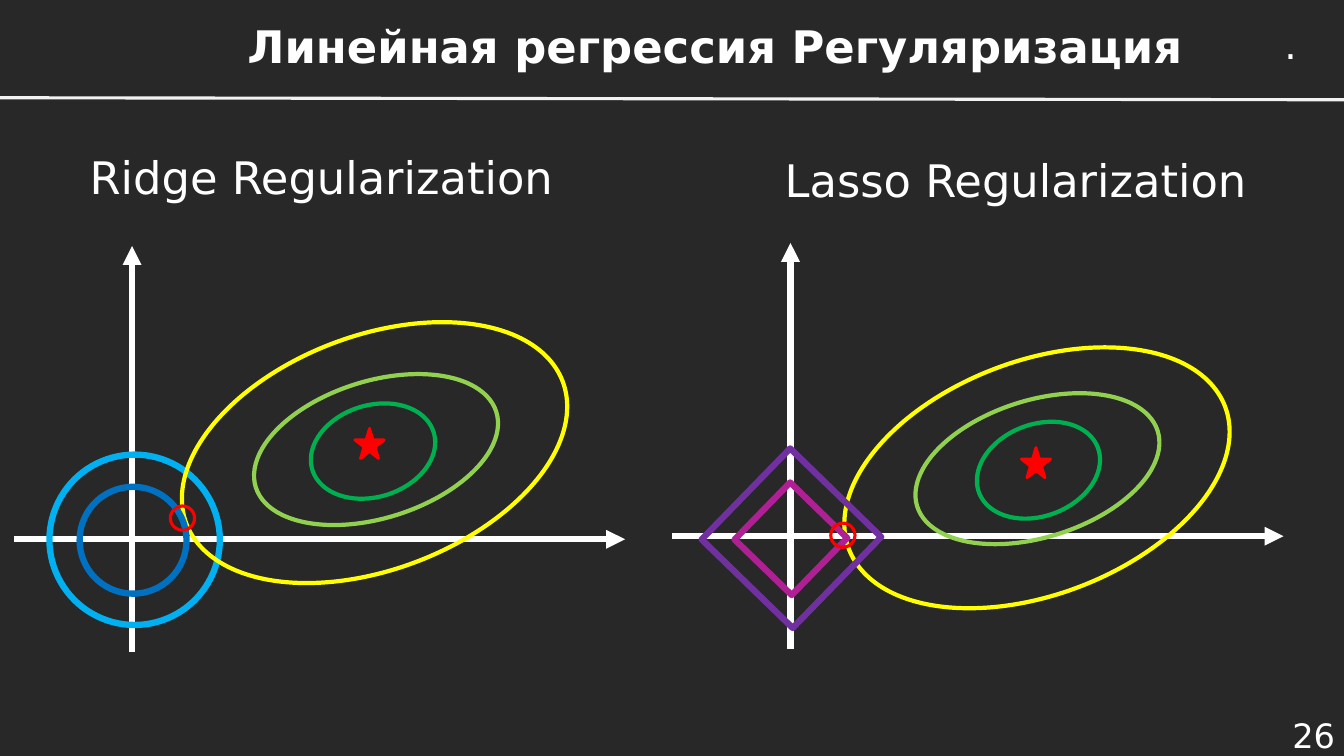
from dataclasses import dataclass

from lxml import etree
from pptx import Presentation
from pptx.dml.color import RGBColor
from pptx.enum.shapes import MSO_CONNECTOR, MSO_SHAPE
from pptx.enum.text import MSO_ANCHOR, MSO_AUTO_SIZE, PP_ALIGN
from pptx.oxml.ns import qn
from pptx.util import Inches, Pt

OVAL, RECT, STAR = MSO_SHAPE.OVAL, MSO_SHAPE.RECTANGLE, MSO_SHAPE.STAR_5_POINT
STRAIGHT = MSO_CONNECTOR.STRAIGHT
LEFT, CENTER, RIGHT = PP_ALIGN.LEFT, PP_ALIGN.CENTER, PP_ALIGN.RIGHT
MIDDLE, NO_FIT = MSO_ANCHOR.MIDDLE, MSO_AUTO_SIZE.NONE


@dataclass(frozen=True)
class Theme:
    font: str = "DejaVu Sans"
    heading: int = 32
    dot: int = 28
    number: int = 24
    background: str = "272827"
    text: str = "FFFFFF"
    rule: str = "F2F2F2"
    yellow: str = "FFFF00"
    lime: str = "92D050"
    green: str = "00B050"
    red: str = "FF0000"
    sky: str = "00B0F0"
    blue: str = "0070C0"
    purple: str = "7030A0"
    magenta: str = "B02095"


theme = Theme()

prs = Presentation()
prs.slide_width, prs.slide_height = Inches(13.33), Inches(7.5)
slide = prs.slides.add_slide(prs.slide_layouts[5])
slide.background.fill.solid()
slide.background.fill.fore_color.rgb = RGBColor.from_string(theme.background)


def add_line(x1, y1, x2, y2, color, width):
    line = slide.shapes.add_connector(
        STRAIGHT, Inches(x1), Inches(y1), Inches(x2), Inches(y2))
    line.line.color.rgb = RGBColor.from_string(color)
    line.line.width = Pt(width)
    etree.SubElement(line._element.spPr, qn("a:effectLst"))
    return line


# Title, panel headings, corner dot and slide number
title = slide.shapes.title
texts = [
    (title, "Линейная регрессия Регуляризация", 1.78, 0.19, 10.63, 0.53, theme.heading, CENTER),
    (None, "Ridge Regularization", 0.75, 1.3, 4.88, 0.91, theme.heading, CENTER),
    (None, "Lasso Regularization", 7.4, 1.33, 5.35, 0.91, theme.heading, CENTER),
    (None, ".", 12.64, 0.15, 0.34, 0.57, theme.dot, LEFT),
    (None, "26", 12.29, 7.08, 1.05, 0.42, theme.number, RIGHT),
]
for sp, text, x, y, w, h, size, align in texts:
    sp = sp or slide.shapes.add_textbox(0, 0, 0, 0)
    sp.left, sp.top, sp.width, sp.height = Inches(x), Inches(y), Inches(w), Inches(h)
    tf = sp.text_frame
    tf.text = text
    tf.word_wrap = True
    tf.auto_size = NO_FIT
    tf.vertical_anchor = MIDDLE
    p = tf.paragraphs[0]
    p.alignment = align
    font = p.runs[0].font
    font.name, font.size, font.bold = theme.font, Pt(size), sp is title
    font.color.rgb = RGBColor.from_string(theme.text)

# Rule under the title
add_line(0, 0.97, 13.33, 0.99, theme.rule, 2.25)

# Axes: each pair is set by its crossing point
for x, y in [(1.31, 5.35), (7.84, 5.32)]:
    for ends in [(x, y + 1.12, x, y - 2.91), (x - 1.17, y, x + 4.89, y)]:
        axis = add_line(*ends, theme.text, 4.5)
        etree.SubElement(axis.line._get_or_add_ln(), qn("a:tailEnd"), type="triangle")

# Constraint regions, loss contours, optimum and touching point, back to front
# kind, left, top, width, height, rotation, colour, line width
figures = [
    # Lasso
    (OVAL, 8.29, 3.58, 3.99, 2.32, 339.3, theme.yellow, 3),
    (OVAL, 9.04, 3.97, 2.5, 1.36, 342.6, theme.lime, 3),
    (OVAL, 9.67, 4.21, 1.26, 0.91, 339.2, theme.green, 3),
    (STAR, 10.13, 4.44, 0.29, 0.3, 0, theme.red, 2),
    (RECT, 7.22, 4.71, 1.26, 1.26, 44.2, theme.purple, 4.5),
    (RECT, 7.45, 4.95, 0.79, 0.79, 44.2, theme.magenta, 4.5),
    (OVAL, 8.24, 5.19, 0.24, 0.24, 0, theme.red, 2.25),
    # Ridge
    (OVAL, 0.49, 4.51, 1.69, 1.69, 0, theme.sky, 4.5),
    (OVAL, 1.72, 3.33, 3.99, 2.32, 339.3, theme.yellow, 3),
    (OVAL, 2.48, 3.78, 2.5, 1.36, 342.6, theme.lime, 3),
    (OVAL, 3.07, 4.02, 1.26, 0.91, 342.8, theme.green, 3),
    (STAR, 3.52, 4.25, 0.29, 0.3, 0, theme.red, 2),
    (OVAL, 0.79, 4.83, 1.06, 1.06, 0, theme.blue, 4.5),
    (OVAL, 1.69, 5.02, 0.24, 0.24, 0, theme.red, 2.25),
]
for kind, x, y, w, h, rotation, color, width in figures:
    sp = slide.shapes.add_shape(kind, Inches(x), Inches(y), Inches(w), Inches(h))
    sp.shadow.inherit = False
    sp.rotation = rotation
    sp.line.color.rgb = RGBColor.from_string(color)
    sp.line.width = Pt(width)
    if kind == STAR:
        sp.fill.solid()
        sp.fill.fore_color.rgb = RGBColor.from_string(color)
    else:
        sp.fill.background()

prs.save("out.pptx")
